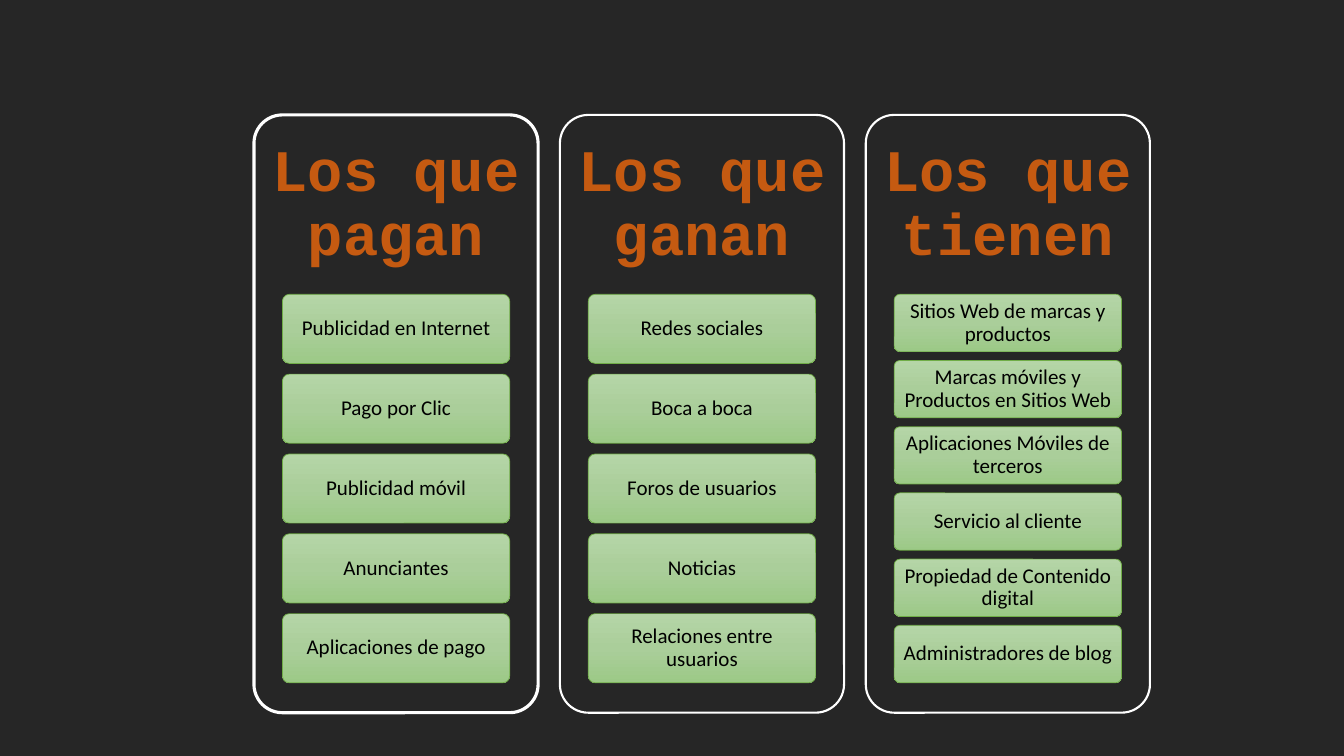
"""Build a slide with three columns of media types under large headings."""
from copy import deepcopy

from pptx import Presentation
from pptx.dml.color import RGBColor
from pptx.enum.shapes import MSO_SHAPE
from pptx.enum.text import MSO_ANCHOR, PP_ALIGN
from pptx.oxml.ns import qn
from pptx.util import Pt

ROUNDED = MSO_SHAPE.ROUNDED_RECTANGLE
MIDDLE = MSO_ANCHOR.MIDDLE
CENTER = PP_ALIGN.CENTER

BACKGROUND = RGBColor(0x26, 0x26, 0x26)
WHITE = RGBColor(0xFF, 0xFF, 0xFF)
BLACK = RGBColor(0x00, 0x00, 0x00)
ORANGE = RGBColor(0xC5, 0x5A, 0x11)
GREEN = RGBColor(0x70, 0xAD, 0x47)
CARD_GRADIENT = [
    (0, RGBColor(0xB5, 0xD5, 0xA7)),
    (0.5, RGBColor(0xAA, 0xCE, 0x9A)),
    (1, RGBColor(0x9C, 0xC9, 0x87)),
]

PANEL_LEFT, PANEL_TOP = 181.4, 82.1
PANEL_WIDTH, PANEL_HEIGHT = 203, 427
PANEL_STEP = 218.5
HEADING_HEIGHT = 128.1
CARD_WIDTH = 162.4
CARDS_TOP = PANEL_TOP + HEADING_HEIGHT
CARDS_HEIGHT = 277.5
GAP_RATIO = 2 / 13

COLUMNS = [
    ("Los que pagan", 2.25, [
        "Publicidad en Internet", "Pago por Clic", "Publicidad móvil",
        "Anunciantes", "Aplicaciones de pago"]),
    ("Los que ganan", 1.5, [
        "Redes sociales", "Boca a boca", "Foros de usuarios",
        "Noticias", "Relaciones entre usuarios"]),
    ("Los que tienen", 1.5, [
        "Sitios Web de marcas y productos",
        "Marcas móviles y Productos en Sitios Web",
        "Aplicaciones Móviles de terceros", "Servicio al cliente",
        "Propiedad de Contenido digital", "Administradores de blog"]),
]


def add_rounded(left, top, width, height, line_color, line_width):
    shape = slide.shapes.add_shape(ROUNDED, Pt(left), Pt(top), Pt(width), Pt(height))
    shape.adjustments[0] = 0.1
    shape.shadow.inherit = False
    shape.line.color.rgb = line_color
    shape.line.width = Pt(line_width)
    return shape


def write_text(shape, text, font_name, size, color, bold, inset_x, inset_y):
    frame = shape.text_frame
    frame.word_wrap = True
    frame.vertical_anchor = MIDDLE
    frame.margin_left = frame.margin_right = Pt(inset_x)
    frame.margin_top = frame.margin_bottom = Pt(inset_y)
    paragraph = frame.paragraphs[0]
    paragraph.text = text
    paragraph.alignment = CENTER
    paragraph.line_spacing = 0.9
    paragraph.font.name = font_name
    paragraph.font.size = Pt(size)
    paragraph.font.bold = bold
    paragraph.font.color.rgb = color


presentation = Presentation()
presentation.slide_width = Pt(960)
presentation.slide_height = Pt(540)
slide = presentation.slides.add_slide(presentation.slide_layouts[6])
slide.background.fill.solid()
slide.background.fill.fore_color.rgb = BACKGROUND

for column, (heading, outline_width, items) in enumerate(COLUMNS):
    left = PANEL_LEFT + column * PANEL_STEP
    panel = add_rounded(left, PANEL_TOP, PANEL_WIDTH, PANEL_HEIGHT, WHITE, outline_width)
    panel.fill.background()

    heading_box = slide.shapes.add_textbox(
        Pt(left), Pt(PANEL_TOP), Pt(PANEL_WIDTH), Pt(HEADING_HEIGHT))
    write_text(heading_box, heading, "Courier New", 42, ORANGE, True, 12, 12)

    card_height = CARDS_HEIGHT / (len(items) + (len(items) - 1) * GAP_RATIO)
    card_step = card_height * (1 + GAP_RATIO)
    card_left = left + (PANEL_WIDTH - CARD_WIDTH) / 2
    for row, item in enumerate(items):
        card = add_rounded(
            card_left, CARDS_TOP + row * card_step, CARD_WIDTH, card_height, GREEN, 0.5)
        card.fill.gradient()
        card.fill.gradient_angle = 270
        stop_list = card.element.spPr.find(qn("a:gradFill")).find(qn("a:gsLst"))
        stop_list.insert(1, deepcopy(stop_list[0]))
        for stop, (position, color) in zip(card.fill.gradient_stops, CARD_GRADIENT):
            stop.position = position
            stop.color.rgb = color
        write_text(card, item, "Calibri", 15, BLACK, False, 3, 2.25)

presentation.save("out.pptx")
